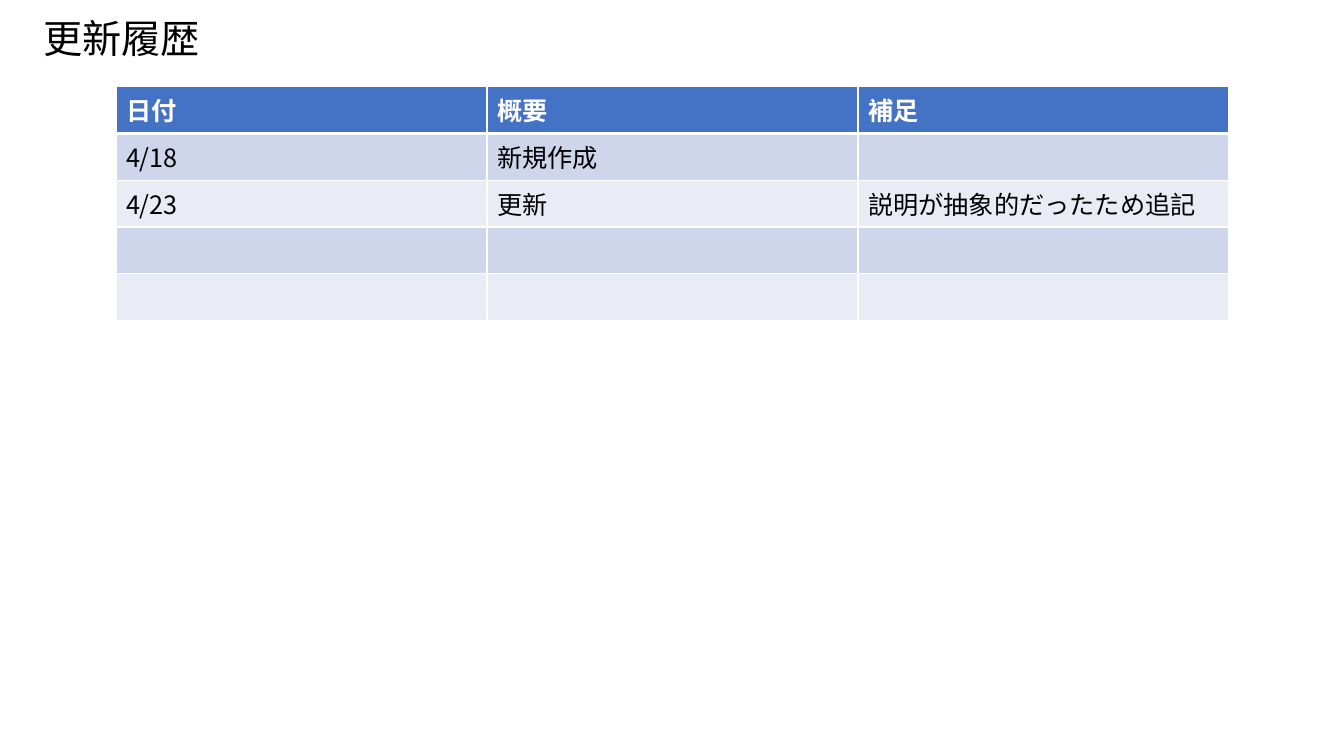
from dataclasses import dataclass

from lxml import etree
from pptx import Presentation
from pptx import util as u
from pptx.dml.color import RGBColor
from pptx.enum import text
from pptx.oxml import ns


@dataclass(frozen=True)
class Theme:
    face: str = "Noto Sans CJK JP"
    ink: str = "000000"
    paper: str = "FFFFFF"
    header: str = "4472C4"
    bands: tuple = ("CFD5EA", "E9EBF5")
    title_size: int = 28
    body_size: int = 18
    thin: int = 1
    thick: int = 3


class SlideBuilder:
    def __init__(self, slide, theme):
        self.slide = slide
        self.theme = theme

    def add_words(self, paragraph, words, color, **font_format):
        """Add one run, with the same face for Latin and Japanese letters."""
        run = paragraph.add_run()
        run.text = words
        for key, value in {"name": self.theme.face, **font_format}.items():
            setattr(run.font, key, value)
        run.font.color.rgb = RGBColor.from_string(color)
        east_asian = etree.Element(ns.qn("a:ea"), typeface=self.theme.face)
        run.font._element.find(ns.qn("a:latin")).addnext(east_asian)

    def title(self, words, left, top, width, height):
        frame = self.slide.shapes.add_textbox(left, top, width, height).text_frame
        frame_format = {
            "word_wrap": True,
            "auto_size": text.MSO_AUTO_SIZE.SHAPE_TO_FIT_TEXT,
        }
        for key, value in frame_format.items():
            setattr(frame, key, value)
        heading = frame.paragraphs[0]
        heading.line_spacing = 0.9
        self.add_words(heading, words, self.theme.ink,
                       size=u.Pt(self.theme.title_size))

    def borders(self, cell, widths):
        properties = cell._tc.get_or_add_tcPr()
        for side, points in widths.items():
            line = etree.SubElement(properties, ns.qn(f"a:ln{side}"), w=str(u.Pt(points)))
            fill = etree.SubElement(line, ns.qn("a:solidFill"))
            etree.SubElement(fill, ns.qn("a:srgbClr"), val=self.theme.paper)

    def table(self, rows, left, top, width, height):
        theme = self.theme
        grid = self.slide.shapes.add_table(
            len(rows), len(rows[0]), left, top, width, height).table
        for r, row in enumerate(rows):
            is_header = r == 0
            fill = theme.header if is_header else theme.bands[(r - 1) % 2]
            # A thick rule parts the header from the entries
            widths = {
                "L": theme.thin,
                "R": theme.thin,
                "T": theme.thick if r == 1 else theme.thin,
                "B": theme.thick if is_header else theme.thin,
            }
            for c, words in enumerate(row):
                cell = grid.cell(r, c)
                self.borders(cell, widths)
                cell.fill.solid()
                cell.fill.fore_color.rgb = RGBColor.from_string(fill)
                if words:
                    self.add_words(cell.text_frame.paragraphs[0], words,
                                   theme.paper if is_header else theme.ink,
                                   size=u.Pt(theme.body_size), bold=is_header)


HISTORY = [
    ("日付", "概要", "補足"),
    ("4/18", "新規作成", ""),
    ("4/23", "更新", "説明が抽象的だったため追記"),
    ("", "", ""),
    ("", "", ""),
]


def main():
    deck = Presentation()
    deck.slide_width = u.Inches(13.33)
    deck.slide_height = u.Inches(7.5)
    page = SlideBuilder(deck.slides.add_slide(deck.slide_layouts[6]), Theme())

    # Update history
    page.table(HISTORY, u.Inches(1.15), u.Inches(0.86), u.Inches(11.04), u.Inches(2.32))

    # Heading
    page.title("更新履歴", u.Inches(0.33), u.Inches(0.15), u.Inches(2.82), u.Inches(0.57))

    deck.save("out.pptx")


if __name__ == "__main__":
    main()
